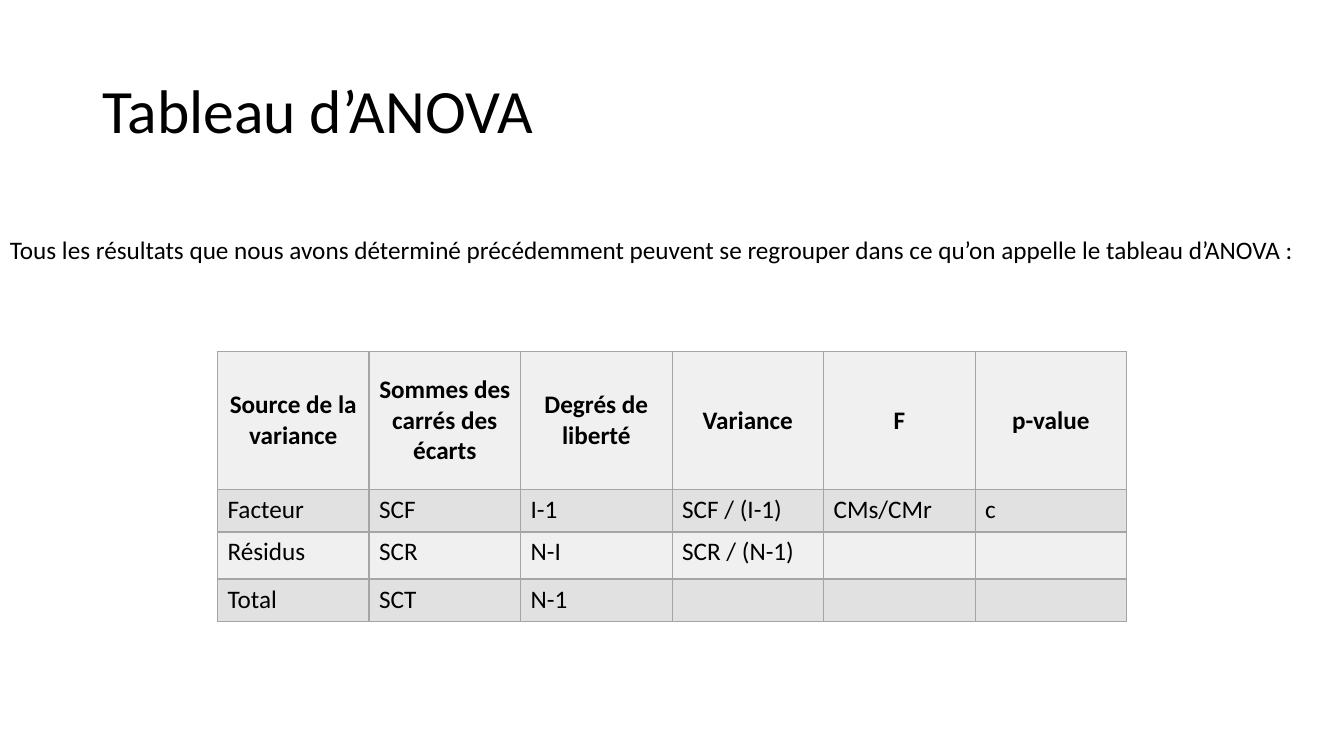
import pptx
import pptx.util
import pptx.dml.color
import pptx.enum.text
import pptx.oxml
import pptx.oxml.ns

Pt = pptx.util.Pt
Align = pptx.enum.text.PP_ALIGN
Anchor = pptx.enum.text.MSO_ANCHOR

HEADS = ["Source de la variance", "Sommes des\vcarrés des écarts",
         "Degrés de liberté", "Variance", "F", "p-value"]
ROWS = [
    ["Facteur", "SCF", "I-1", "SCF / (I-1)", "CMs/CMr", "c"],
    ["Résidus", "SCR", "N-I", "SCR / (N-1)", "", ""],
    ["Total", "SCT", "N-1", "", "", ""],
]


def color(code):
    return pptx.dml.color.RGBColor.from_string(code)


def write(frame, text, font="Calibri", size=18, ink="000000", bold=False,
          align=Align.LEFT, space=1.0):
    para = frame.paragraphs[0]
    para.text = text
    para.alignment = align
    para.line_spacing = space
    for run in para.runs:
        run.font.name = font
        run.font.size = Pt(size)
        run.font.bold = bold
        run.font.color.rgb = color(ink)


class Page:
    line = "A5A5A5"
    bands = ("F0F0F0", "E1E1E1")

    def __init__(self, deck):
        self.slide = deck.slides.add_slide(deck.slide_layouts[5])

    def title(self, text, left, top, width, height):
        shape = self.slide.shapes.title
        shape.left, shape.top = Pt(left), Pt(top)
        shape.width, shape.height = Pt(width), Pt(height)
        shape.text_frame.vertical_anchor = Anchor.MIDDLE
        write(shape.text_frame, text, size=44, space=0.9)

    def text(self, text, left, top, width, height):
        box = self.slide.shapes.add_textbox(
            Pt(left), Pt(top), Pt(width), Pt(height))
        box.text_frame.word_wrap = True
        box.text_frame.auto_size = pptx.enum.text.MSO_AUTO_SIZE.SHAPE_TO_FIT_TEXT
        write(box.text_frame, text)

    def border(self, cell):
        props = cell._tc.get_or_add_tcPr()
        space = pptx.oxml.ns.nsdecls("a")
        for spot, side in enumerate(("lnL", "lnR", "lnT", "lnB")):
            props.insert(spot, pptx.oxml.parse_xml(
                f'<a:{side} {space} w="{Pt(1)}"><a:solidFill>'
                f'<a:srgbClr val="{self.line}"/></a:solidFill></a:{side}>'))

    def table(self, rows, left, top, width, highs):
        count = len(rows[0])
        grid = self.slide.shapes.add_table(
            len(rows), count, Pt(left), Pt(top), Pt(width), Pt(sum(highs))).table
        for col in grid.columns:
            col.width = Pt(width / count)
        for i, (row, high) in enumerate(zip(rows, highs)):
            grid.rows[i].height = Pt(high)
            head = i == 0
            for j, text in enumerate(row):
                cell = grid.cell(i, j)
                cell.fill.solid()
                cell.fill.fore_color.rgb = color(self.bands[i % 2])
                cell.vertical_anchor = Anchor.MIDDLE if head else Anchor.TOP
                write(cell.text_frame, text, bold=head,
                      align=Align.CENTER if head else Align.LEFT)
                self.border(cell)


def main():
    deck = pptx.Presentation()
    deck.slide_width, deck.slide_height = Pt(960), Pt(540)
    page = Page(deck)

    # Title
    page.title("Tableau d’ANOVA", 66, 28.75, 828, 104.4)

    # ANOVA table
    page.table([HEADS] + ROWS, 155.4, 251.3, 649.4, [98.2, 30.5, 33.7, 30.5])

    # Introduction
    page.text("Tous les résultats que nous avons déterminé précédemment peuvent "
              "se regrouper dans ce qu’on appelle le tableau d’ANOVA :",
              0, 163.6, 941.8, 29.1)

    deck.save("out.pptx")


if __name__ == "__main__":
    main()
